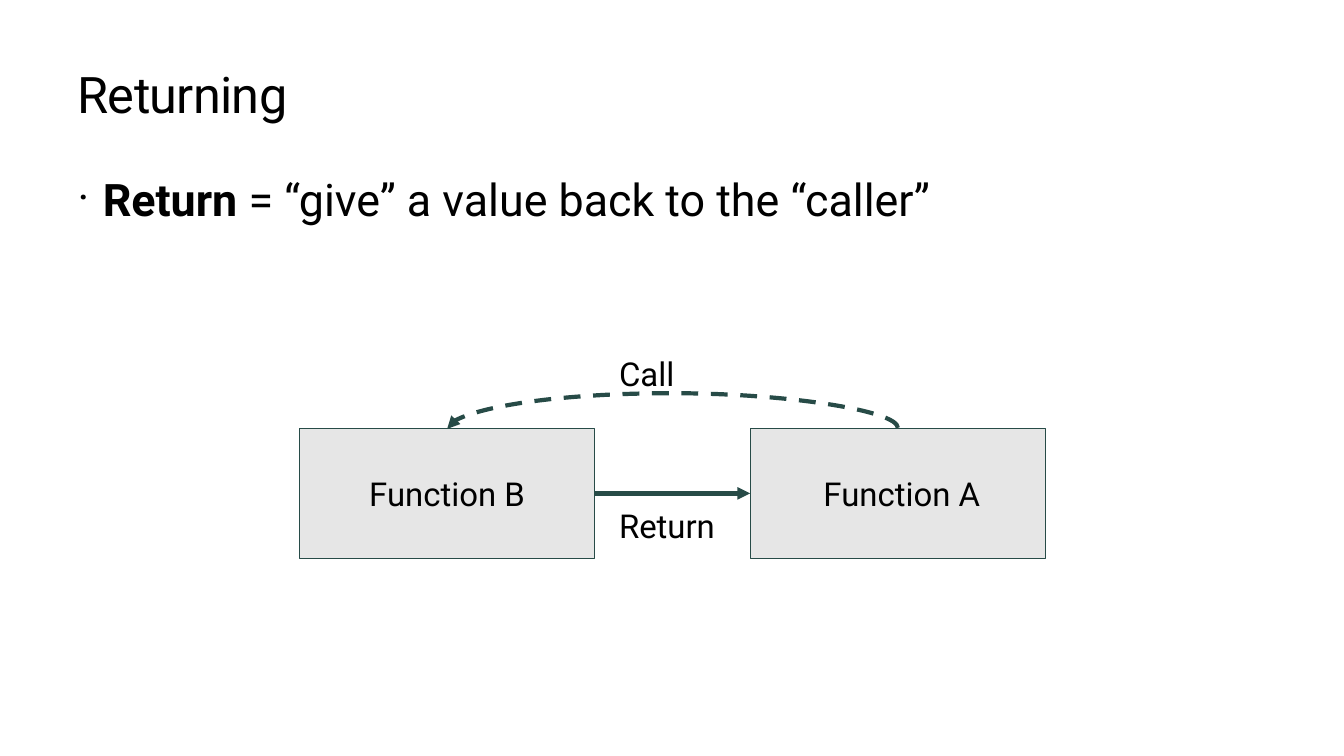
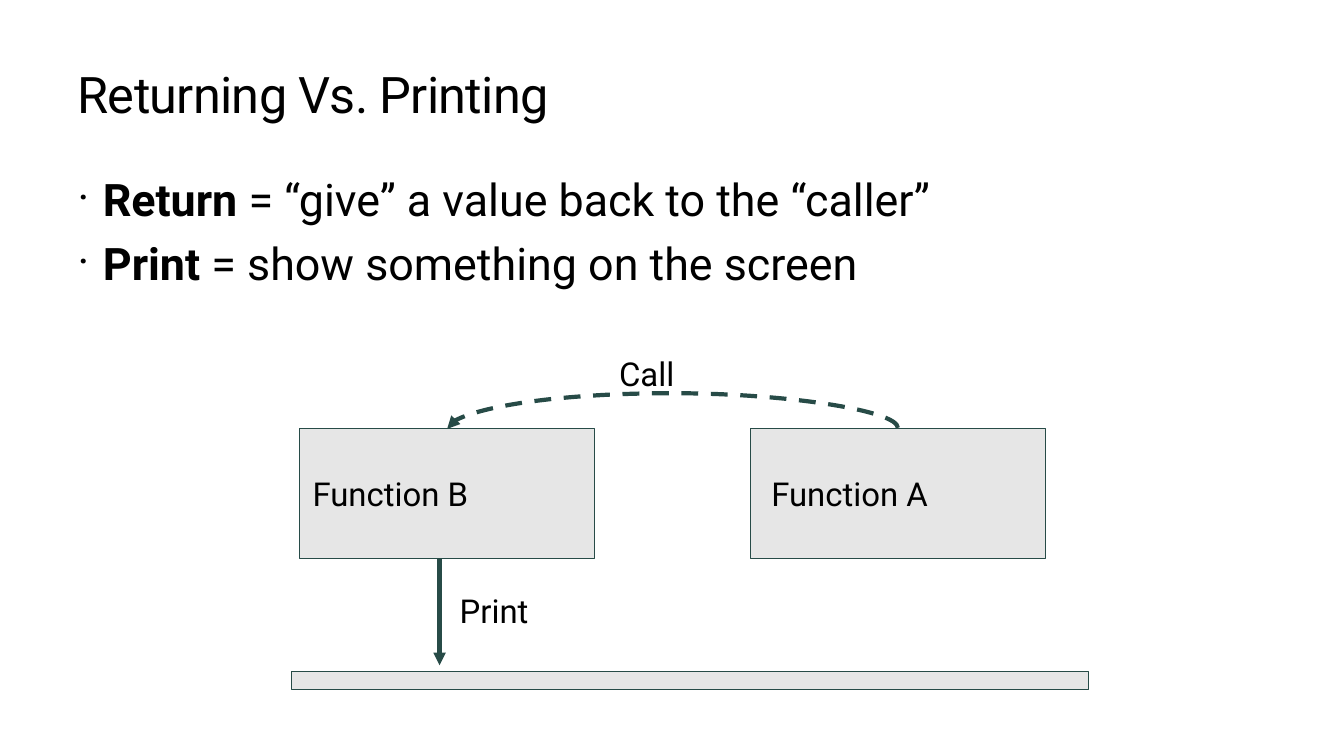
from dataclasses import dataclass

from lxml import etree
from pptx import Presentation
from pptx.dml.color import RGBColor
from pptx.enum.dml import MSO_LINE
from pptx.enum.shapes import MSO_CONNECTOR, MSO_SHAPE
from pptx.enum.text import MSO_ANCHOR, MSO_AUTO_SIZE, PP_ALIGN
from pptx.oxml.ns import qn
from pptx.util import Inches, Pt

RECTANGLE = MSO_SHAPE.RECTANGLE
STRAIGHT, CURVE = MSO_CONNECTOR.STRAIGHT, MSO_CONNECTOR.CURVE
DASH = MSO_LINE.DASH
LEFT, CENTER = PP_ALIGN.LEFT, PP_ALIGN.CENTER
TOP_ANCHOR, MIDDLE_ANCHOR = MSO_ANCHOR.TOP, MSO_ANCHOR.MIDDLE
NO_AUTOFIT = MSO_AUTO_SIZE.NONE
TOP_SITE, LEFT_SITE, RIGHT_SITE = 0, 1, 3


@dataclass(frozen=True)
class Theme:
    """Colours, type sizes and line widths shared by the slides."""
    font: str = "Roboto"
    ink: RGBColor = RGBColor.from_string("000000")
    fill: RGBColor = RGBColor.from_string("E6E6E6")
    accent: RGBColor = RGBColor.from_string("274B47")
    title_size: float = 36
    body_size: float = 32
    label_size: float = 23.5
    outline: float = 0.75
    arrow: float = 3
    inset: float = 0.13


@dataclass(frozen=True)
class Box:
    """A rectangle in inches."""
    left: float
    top: float
    width: float
    height: float

    def inside(self, left, top, width, height):
        """Return a box offset from this one."""
        return Box(self.left + left, self.top + top, width, height)

    def lengths(self):
        """Return left, top, width and height as slide lengths."""
        return [Inches(value) for value in (self.left, self.top, self.width, self.height)]


THEME = Theme()
TITLE = Box(0.64, 0.5, 12.05, 0.91)
BODY = Box(0.64, 1.57, 12.05, 5.29)
DIAGRAM = Box(2.97, 4.25, 7.4, 1.29)
NODE_WIDTH = 2.93
CALL_RISE = 0.35
RETURN_LINE = [("Return", True), (" = “give” a value back to the “caller”", False)]
PRINT_LINE = [("Print", True), (" = show something on the screen", False)]


def add_bullet(para):
    """Give a paragraph a dot and a hanging indent."""
    properties = para._p.get_or_add_pPr()
    properties.set("marL", str(Inches(0.25)))
    properties.set("indent", str(-Inches(0.25)))
    color = etree.SubElement(properties, qn("a:buClr"))
    etree.SubElement(color, qn("a:srgbClr"), val=str(THEME.ink))
    etree.SubElement(properties, qn("a:buFont"), typeface=THEME.font)
    etree.SubElement(properties, qn("a:buChar"), char="·")


def write_text(shape, lines, size=THEME.label_size, align=LEFT, anchor=TOP_ANCHOR,
               bullets=False, gap=0, tracking=None, lead=0):
    """Fill a shape with lines made of (text, bold) spans."""
    frame = shape.text_frame
    frame.word_wrap = True
    frame.auto_size = NO_AUTOFIT
    frame.vertical_anchor = anchor
    frame.margin_left = Inches(THEME.inset + lead)
    frame.margin_right = frame.margin_top = frame.margin_bottom = Inches(THEME.inset)
    for index, line in enumerate(lines):
        para = frame.add_paragraph() if index else frame.paragraphs[0]
        para.alignment = align
        para.space_before = Pt(gap if index else 0)
        if bullets:
            add_bullet(para)
        for text, bold in line:
            span = para.add_run()
            span.text = text
            span.font.name = THEME.font
            span.font.size = Pt(size)
            span.font.bold = bold
            span.font.color.rgb = THEME.ink
            if tracking is not None:
                span.font._element.set("spc", str(tracking))


def place(shape, box):
    """Move and size a shape to a box."""
    shape.left, shape.top, shape.width, shape.height = box.lengths()


def add_panel(page, box):
    """Draw an outlined grey rectangle."""
    panel = page.shapes.add_shape(RECTANGLE, *box.lengths())
    panel.shadow.inherit = False
    panel.fill.solid()
    panel.fill.fore_color.rgb = THEME.fill
    panel.line.color.rgb = THEME.accent
    panel.line.width = Pt(THEME.outline)
    return panel


def add_label(page, box, text):
    """Write a plain label beside an arrow."""
    write_text(page.shapes.add_textbox(*box.lengths()), [[(text, False)]])


def add_arrow(page, kind, start, end, dash=None):
    """Draw an arrow between two points in inches."""
    points = [Inches(value) for value in (*start, *end)]
    arrow = page.shapes.add_connector(kind, *points)
    arrow.line.color.rgb = THEME.accent
    arrow.line.width = Pt(THEME.arrow)
    if dash is not None:
        arrow.line.dash_style = dash
    properties = arrow._element.spPr
    etree.SubElement(properties.find(qn("a:ln")), qn("a:tailEnd"), type="triangle")
    etree.SubElement(properties, qn("a:effectLst"))
    return arrow


def add_call(page, box, caller, callee):
    """Arch a dashed arrow from the caller's top to the callee's top."""
    span = box.width - NODE_WIDTH
    left = box.left + NODE_WIDTH / 2
    arrow = add_arrow(page, CURVE, (left + span, box.top), (left, box.top), DASH)
    arrow.begin_connect(caller, TOP_SITE)
    arrow.end_connect(callee, TOP_SITE)
    thickness = 0.01
    frame = arrow._element.spPr.find(qn("a:xfrm"))
    frame.attrib.pop("flipH", None)
    frame.set("rot", "5400000")
    place(arrow, Box(left + (span - thickness) / 2, box.top - span / 2, thickness, span))
    guides = arrow._element.spPr.find(qn("a:prstGeom")).get_or_add_avLst()
    bend = round(-CALL_RISE / thickness * 100000)
    etree.SubElement(guides, qn("a:gd"), name="adj1", fmla=f"val {bend}")
    add_label(page, box.inside(3.04, -0.87, 1.54, 0.57), "Call")


def add_functions(page, box, align):
    """Draw both functions and the call between them."""
    callee = add_panel(page, box.inside(0, 0, NODE_WIDTH, box.height))
    caller = add_panel(page, box.inside(box.width - NODE_WIDTH, 0, NODE_WIDTH, box.height))
    for node, name, lead in ((callee, "Function B", 0), (caller, "Function A", 0.08)):
        write_text(node, [[(name, False)]], align=align, anchor=MIDDLE_ANCHOR, lead=lead)
    add_call(page, box, caller, callee)
    return callee, caller


def add_return(page, box, callee, caller):
    """Draw the return arrow from callee to caller."""
    middle = box.top + box.height / 2
    arrow = add_arrow(page, STRAIGHT, (box.left + NODE_WIDTH, middle),
                      (box.left + box.width - NODE_WIDTH, middle))
    arrow.begin_connect(callee, RIGHT_SITE)
    arrow.end_connect(caller, LEFT_SITE)
    add_label(page, box.inside(3.04, 0.64, 1.54, 0.35), "Return")


def add_print(page, box):
    """Draw the print arrow and the screen below it."""
    column = box.left + 1.39
    bottom = box.top + box.height
    add_arrow(page, STRAIGHT, (column, bottom), (column, bottom + 1.06))
    add_label(page, box.inside(1.46, 1.48, 1.54, 0.35), "Print")
    add_panel(page, box.inside(-0.08, 2.41, 7.91, 0.18))


def add_page(deck, title, lines):
    """Add a slide with a title and a bulleted list."""
    page = deck.slides.add_slide(deck.slide_layouts[1])
    heading, body = page.placeholders
    place(heading, TITLE)
    place(body, BODY)
    write_text(heading, [[(title, False)]], size=THEME.title_size, tracking=-50)
    write_text(body, lines, size=THEME.body_size, bullets=True, gap=7.5)
    return page


def main():
    """Build and save the deck."""
    deck = Presentation()
    deck.slide_width, deck.slide_height = Inches(13.33), Inches(7.5)

    page = add_page(deck, "Returning", [RETURN_LINE])
    callee, caller = add_functions(page, DIAGRAM, CENTER)
    add_return(page, DIAGRAM, callee, caller)

    page = add_page(deck, "Returning Vs. Printing", [RETURN_LINE, PRINT_LINE])
    add_functions(page, DIAGRAM, LEFT)
    add_print(page, DIAGRAM)

    deck.save("out.pptx")


if __name__ == "__main__":
    main()
